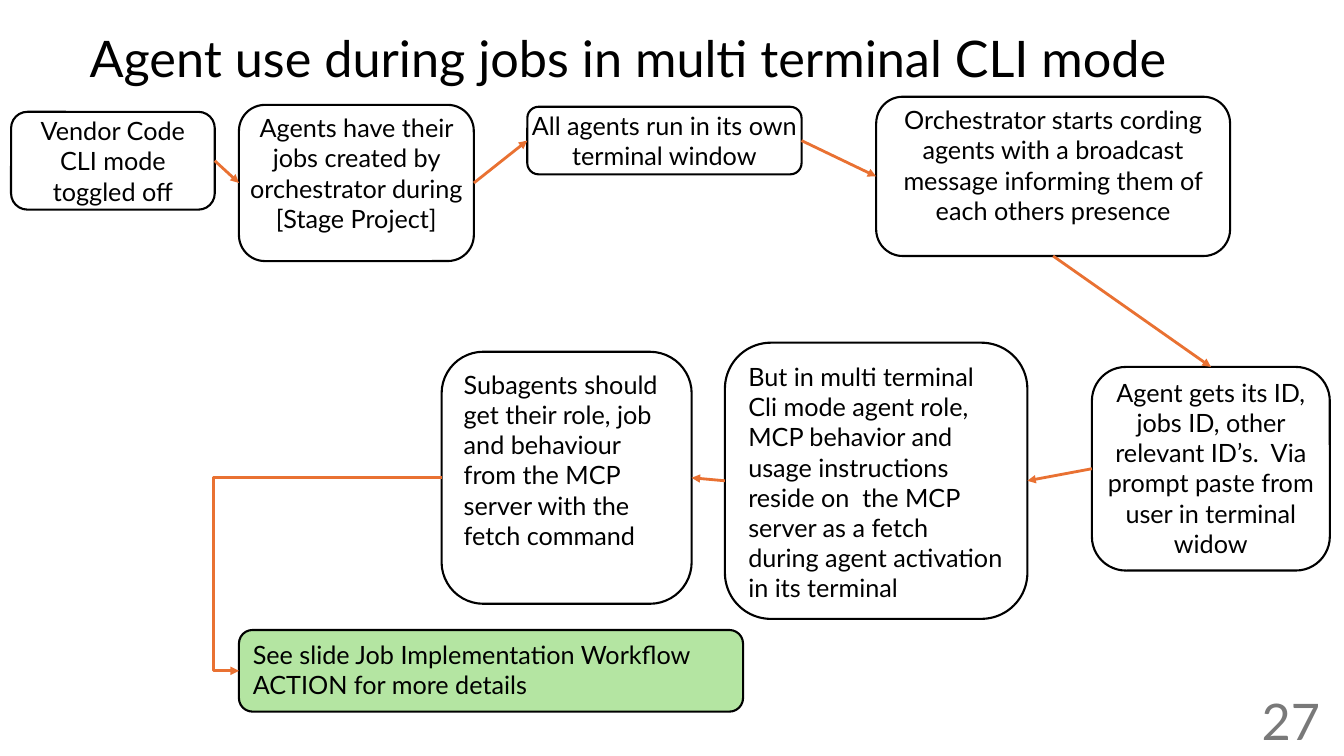
import pptx
import pptx.dml.color
import pptx.enum.shapes
import pptx.enum.text
import pptx.oxml.ns
import pptx.util
from dataclasses import dataclass
from lxml import etree

Inches = pptx.util.Inches
Pt = pptx.util.Pt
RGB = pptx.dml.color.RGBColor.from_string
ALIGN = pptx.enum.text.PP_ALIGN
ANCHOR = pptx.enum.text.MSO_ANCHOR
CONNECTOR = pptx.enum.shapes.MSO_CONNECTOR
ROUNDED = pptx.enum.shapes.MSO_SHAPE.ROUNDED_RECTANGLE
qn = pptx.oxml.ns.qn
TOP, LEFT, BOTTOM, RIGHT = range(4)


@dataclass
class Theme:
    font: str = "Lato"
    ink: str = "000000"
    paper: str = "FFFFFF"
    accent: str = "E97132"
    result: str = "B4E5A2"
    muted: str = "797979"
    heading: int = 36
    body: int = 18
    outline: float = 1.5
    arrow: int = 2


class FlowSlide:
    def __init__(self, s, theme):
        self.s = s
        self.theme = theme

    def set_text(self, sp, text, size, color, align, anchor, margin=None, spacing=None):
        tf = sp.text_frame
        frame = {"word_wrap": True, "vertical_anchor": anchor}
        if margin is not None:
            for side in ("left", "top", "right", "bottom"):
                frame["margin_" + side] = Inches(margin)
        for name, value in frame.items():
            setattr(tf, name, value)
        p = tf.paragraphs[0]
        p.alignment = align
        p.line_spacing = spacing
        r = p.add_run()
        r.text = text
        for name, value in {"name": self.theme.font, "size": Pt(size)}.items():
            setattr(r.font, name, value)
        r.font.color.rgb = RGB(color)

    def label(self, at, text, color, align, spacing=None):
        sp = self.s.shapes.add_textbox(*map(Inches, at))
        self.set_text(sp, text, self.theme.heading, color, align, ANCHOR.MIDDLE, spacing=spacing)

    def step(self, at, text, align=ALIGN.CENTER, anchor=ANCHOR.TOP, margin=None, fill=None):
        sp = self.s.shapes.add_shape(ROUNDED, *map(Inches, at))
        sp.shadow.inherit = False
        sp.fill.solid()
        sp.fill.fore_color.rgb = RGB(fill or self.theme.paper)
        sp.line.color.rgb = RGB(self.theme.ink)
        sp.line.width = Pt(self.theme.outline)
        self.set_text(sp, text, self.theme.body, self.theme.ink, align, anchor, margin)
        return sp

    def side_middle(self, sp, side):
        x = {LEFT: sp.left, RIGHT: sp.left + sp.width}.get(side, sp.left + sp.width // 2)
        y = {TOP: sp.top, BOTTOM: sp.top + sp.height}.get(side, sp.top + sp.height // 2)
        return x, y

    def arrow(self, start, start_side, end, end_side, bend=None):
        kind = CONNECTOR.STRAIGHT if bend is None else CONNECTOR.ELBOW
        points = self.side_middle(start, start_side) + self.side_middle(end, end_side)
        c = self.s.shapes.add_connector(kind, *points)
        c.begin_connect(start, start_side)
        c.end_connect(end, end_side)
        c.line.color.rgb = RGB(self.theme.accent)
        c.line.width = Pt(self.theme.arrow)
        props = c._element.spPr
        etree.SubElement(props.find(qn("a:ln")), qn("a:tailEnd"), type="triangle")
        etree.SubElement(props, qn("a:effectLst"))
        if bend is not None:
            guides = props.find(qn("a:prstGeom")).find(qn("a:avLst"))
            etree.SubElement(guides, qn("a:gd"), name="adj1", fmla=f"val {round(bend * 100000)}")


def main():
    prs = pptx.Presentation()
    prs.slide_width, prs.slide_height = Inches(13.33), Inches(7.5)
    theme = Theme()
    flow = FlowSlide(prs.slides.add_slide(prs.slide_layouts[6]), theme)

    flow.label((0.79, 0.27, 11.5, 0.68), "Agent use during jobs in multi terminal CLI mode",
               theme.ink, ALIGN.LEFT, spacing=0.9)
    flow.label((10.19, 6.95, 3, 0.4), "27", theme.muted, ALIGN.RIGHT)

    toggle = flow.step((0.11, 1.11, 2.02, 0.97), "Vendor Code CLI mode toggled off",
                       anchor=ANCHOR.MIDDLE)
    jobs = flow.step((2.37, 1.04, 2.33, 1.55),
                     "Agents have their jobs created by orchestrator during [Stage Project]", margin=0)
    windows = flow.step((5.23, 1.06, 2.72, 0.67),
                        "All agents run in its own terminal window", margin=0)
    broadcast = flow.step((8.69, 0.96, 3.51, 1.58),
                          "Orchestrator starts cording agents with a broadcast message "
                          "informing them of each others presence", margin=0)
    identity = flow.step((10.83, 3.64, 2.36, 2.02),
                         "Agent gets its ID, jobs ID, other relevant ID’s.  Via prompt paste "
                         "from user in terminal widow", margin=0)
    fetch = flow.step((7.19, 3.4, 3, 2.74),
                      "But in multi terminal Cli mode agent role, MCP behavior and usage "
                      "instructions reside on  the MCP server as a fetch during agent "
                      "activation in its terminal", ALIGN.LEFT)
    subagents = flow.step((4.38, 3.49, 2.48, 2.5),
                          "Subagents should get their role, job and behaviour from the MCP "
                          "server with the fetch command", ALIGN.LEFT)
    details = flow.step((2.37, 6.25, 5, 0.81),
                        "See slide Job Implementation Workflow ACTION for more details",
                        ALIGN.LEFT, fill=theme.result)

    for start, end in ((toggle, jobs), (jobs, windows), (windows, broadcast)):
        flow.arrow(start, RIGHT, end, LEFT)
    flow.arrow(broadcast, BOTTOM, identity, TOP)
    for start, end in ((identity, fetch), (fetch, subagents)):
        flow.arrow(start, LEFT, end, RIGHT)
    flow.arrow(subagents, LEFT, details, LEFT, bend=1.125)

    prs.save("out.pptx")


if __name__ == "__main__":
    main()
